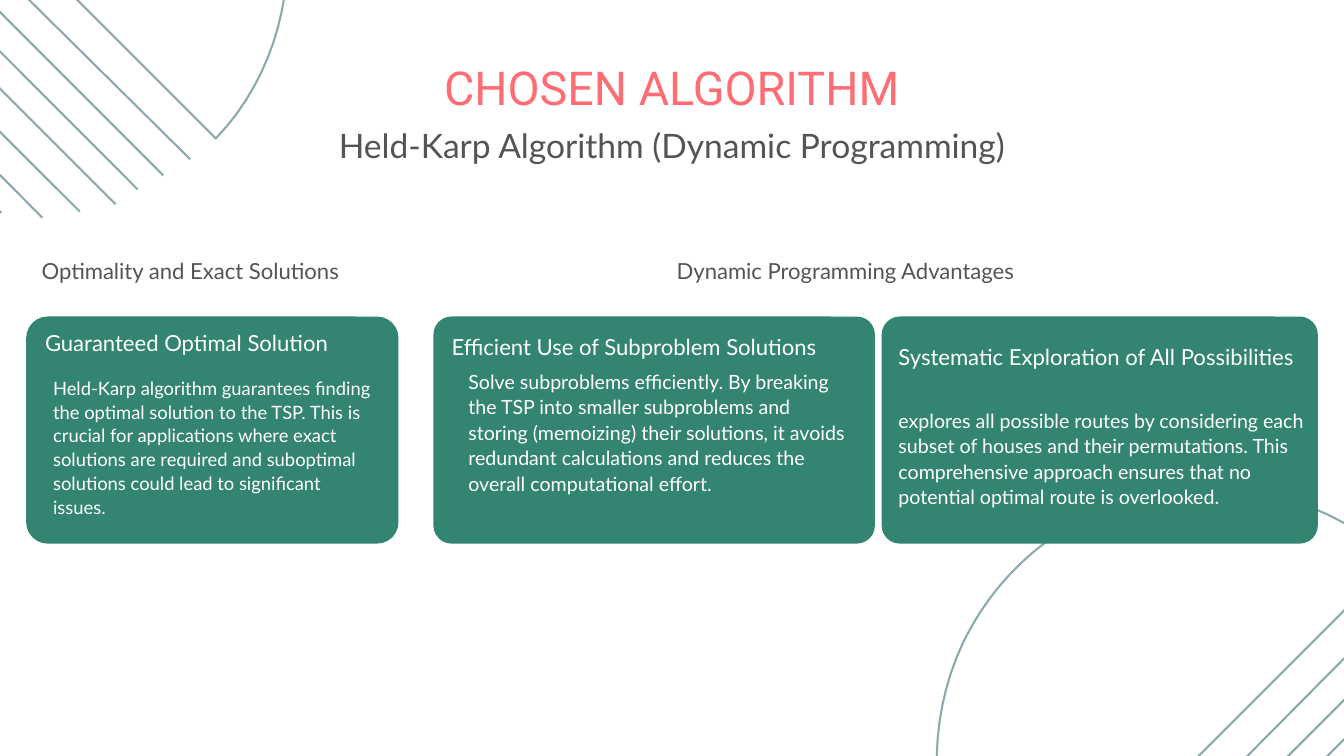
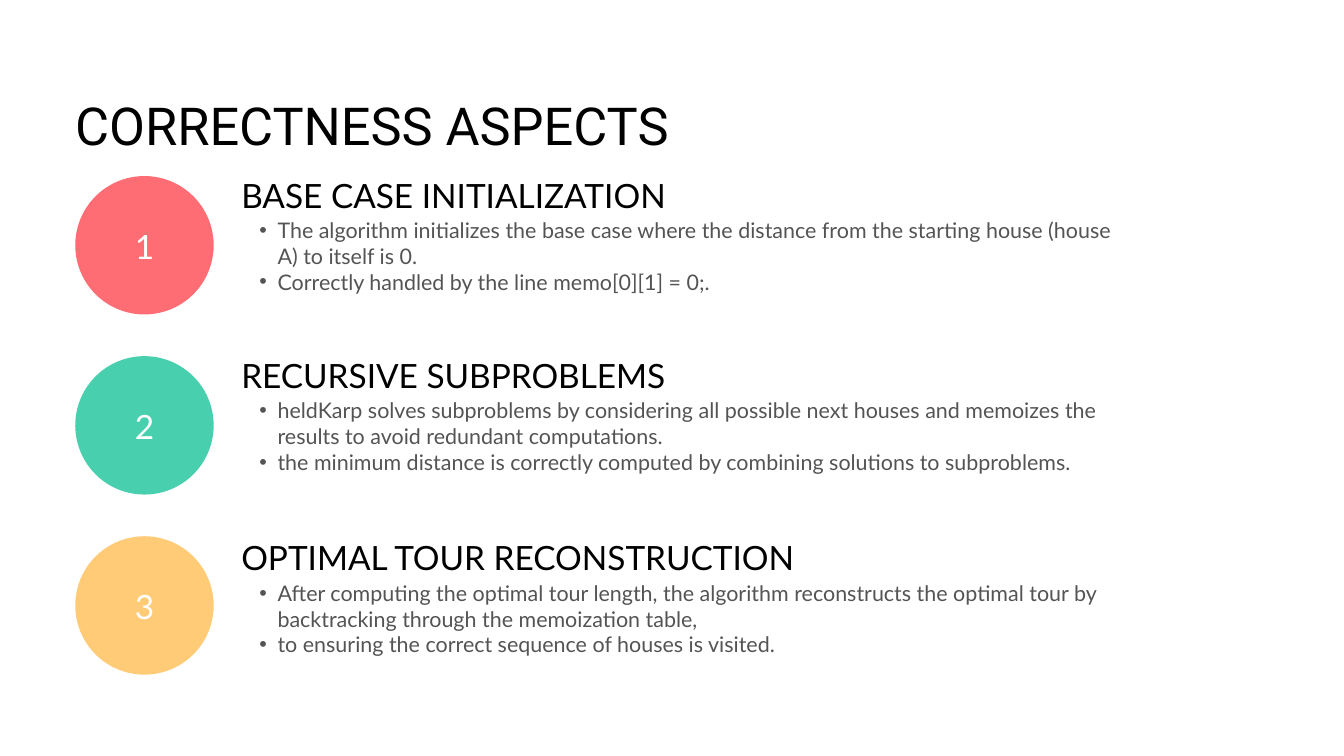
from lxml import etree
from pptx import Presentation
from pptx.dml.color import RGBColor
from pptx.enum.shapes import MSO_CONNECTOR, MSO_SHAPE
from pptx.enum.text import PP_ALIGN
from pptx.oxml.ns import qn
from pptx.util import Inches, Pt

STRAIGHT = MSO_CONNECTOR.STRAIGHT
OVAL = MSO_SHAPE.OVAL
ROUNDED = MSO_SHAPE.ROUNDED_RECTANGLE
LEFT, CENTER = PP_ALIGN.LEFT, PP_ALIGN.CENTER

CORAL = RGBColor(0xFE, 0x6D, 0x73)
MINT = RGBColor(0x48, 0xCF, 0xAE)
AMBER = RGBColor(0xFF, 0xCB, 0x77)
GREEN = RGBColor(0x33, 0x84, 0x70)
SAGE = RGBColor(0x8C, 0xA9, 0xAD)
GRAY = RGBColor(0x54, 0x54, 0x54)
BLACK = RGBColor(0, 0, 0)
WHITE = RGBColor(0xFF, 0xFF, 0xFF)
TITLE_FONT, BODY_FONT = "Roboto", "Lato"

deck = Presentation()
deck.slide_width, deck.slide_height = Inches(20), Inches(11.25)
COL = deck.slide_width / 20
ROW = deck.slide_height / 11.25
BLANK = deck.slide_layouts[6]


def add_block(slide, kind, left, top, width, height, color):
    block = slide.shapes.add_shape(
        kind, int(left * COL), int(top * ROW), int(width * COL), int(height * ROW))
    block.shadow.inherit = False
    block.fill.solid()
    block.fill.fore_color.rgb = color
    block.line.fill.background()
    return block


def add_text(slide, left, top, width, height, lines, size, spacing, color,
             font=BODY_FONT, align=LEFT, bullets=False):
    box = slide.shapes.add_textbox(
        int(left * COL), int(top * ROW), int(width * COL), int(height * ROW))
    frame = box.text_frame
    frame.word_wrap = True
    frame.margin_left = frame.margin_right = frame.margin_top = frame.margin_bottom = 0
    for number, line in enumerate(lines):
        paragraph = frame.add_paragraph() if number else frame.paragraphs[0]
        paragraph.alignment = align
        paragraph.line_spacing = Pt(spacing)
        if bullets:
            properties = paragraph._p.get_or_add_pPr()
            properties.set("marL", str(int(0.54 * COL)))
            properties.set("indent", str(int(-0.27 * COL)))
            etree.SubElement(properties, qn("a:buFont")).set("typeface", "Arial")
            etree.SubElement(properties, qn("a:buChar")).set("char", "•")
        run = paragraph.add_run()
        run.text = line
        run.font.name = font
        run.font.size = Pt(size)
        run.font.color.rgb = color


algorithm = deck.slides.add_slide(BLANK)

half_profile = [(0, -1.95), (0.47, -1.95), (0.91, -1.87), (1.35, -1.72),
                (2.9, -1.16), (4.03, 0.33), (4.06, 1.95)]
STEPS = 20
right_arc = []
for first in (0, 3):
    curve = half_profile[first:first + 4]
    for step in range(STEPS + 1):
        t = step / STEPS
        weights = ((1 - t) ** 3, 3 * t * (1 - t) ** 2, 3 * t * t * (1 - t), t ** 3)
        right_arc.append(tuple(sum(w * point[axis] for w, point in zip(weights, curve))
                               for axis in (0, 1)))
dome = [(-x, y) for x, y in reversed(right_arc)] + right_arc

corners = [
    (16.5, 9.83, 315, [
        (15.45, 14.39, 21.07, 8.72), (15.8, 14.62, 21.31, 9.11),
        (16.19, 14.82, 21.51, 9.49)]),
    (1.72, -2.19, 45, [
        (-2.84, -3.24, 2.83, 2.37), (-3.08, -2.9, 2.43, 2.61),
        (-3.27, -2.51, 2.05, 2.82), (-3.41, -2.09, 1.72, 3.04),
        (-3.57, -1.6, 1.19, 3.15), (-3.7, -1.12, 0.63, 3.24),
        (-3.67, -0.5, 0.02, 3.17)]),
]
for center_x, center_y, angle, stripes in corners:
    outline = [(int((center_x + x) * COL), int((center_y + y) * ROW)) for x, y in dome]
    builder = algorithm.shapes.build_freeform(*outline[0])
    builder.add_line_segments(outline[1:], close=True)
    half_disc = builder.convert_to_shape()
    half_disc.rotation = angle
    half_disc.shadow.inherit = False
    half_disc.fill.background()
    half_disc.line.color.rgb = SAGE
    half_disc.line.width = Pt(2.25)
    for x1, y1, x2, y2 in stripes:
        stripe = algorithm.shapes.add_connector(
            STRAIGHT, int(x1 * COL), int(y1 * ROW), int(x2 * COL), int(y2 * ROW))
        stripe.line.color.rgb = SAGE
        stripe.line.width = Pt(2.25)
        etree.SubElement(stripe._element.spPr, qn("a:effectLst"))

add_text(algorithm, 6.31, 1.02, 7.38, 0.84, ["CHOSEN ALGORITHM"],
         50, 50, CORAL, TITLE_FONT, CENTER)
add_text(algorithm, 4.32, 1.86, 11.36, 0.59, ["Held-Karp Algorithm (Dynamic Programming)"],
         36, 43.2, GRAY, align=CENTER)

for left, width, label in [(0.62, 5.07, "Optimality and Exact Solutions"),
                           (10.07, 5.9, "Dynamic Programming Advantages")]:
    add_text(algorithm, left, 3.8, width, 0.41, [label], 23.7, 30.8, GRAY)

CARD_TOP, CARD_HEIGHT = 4.71, 3.38
cards = [
    (0.39, 5.54, 0.32,
     (0.67, 4.87, 5.07, 0.41), "Guaranteed Optimal Solution",
     (0.79, 5.58, 4.83, 2.11), 19.7,
     "Held-Karp algorithm guarantees finding the optimal solution to the TSP. This is "
     "crucial for applications where exact solutions are required and suboptimal "
     "solutions could lead to significant issues."),
    (6.45, 6.57, 0.27,
     (6.72, 4.93, 6.12, 0.41), "Efficient Use of Subproblem Solutions",
     (6.97, 5.47, 5.63, 2.63), 21,
     "Solve subproblems efficiently. By breaking the TSP into smaller subproblems and "
     "storing (memoizing) their solutions, it avoids redundant calculations and reduces "
     "the overall computational effort."),
    (13.12, 6.49, 0.27,
     (13.37, 5.07, 6.12, 0.84), "Systematic Exploration of All Possibilities",
     (13.37, 6.05, 6.12, 1.88), 21,
     "explores all possible routes by considering each subset of houses and their "
     "permutations. This comprehensive approach ensures that no potential optimal route "
     "is overlooked."),
]
for left, width, radius, heading_area, heading, detail_area, size, detail in cards:
    card = add_block(algorithm, ROUNDED, left, CARD_TOP, width, CARD_HEIGHT, GREEN)
    card.adjustments[0] = radius / CARD_HEIGHT
    add_text(algorithm, *heading_area, [heading], 23.7, 30.8, WHITE)
    add_text(algorithm, *detail_area, [detail], size, size * 1.3, WHITE)

correctness = deck.slides.add_slide(BLANK)
add_text(correctness, 1.12, 1.55, 11.8, 0.92, ["CORRECTNESS ASPECTS"],
         56, 55.4, BLACK, TITLE_FONT)

DISC_LEFT, DISC_TOP, DISC_SIZE, DISC_PITCH = 1.12, 2.62, 2.06, 2.68
aspects = [
    (CORAL, 2.5, 13.17, "BASE CASE INITIALIZATION", [
        "The algorithm initializes the base case where the distance from the starting "
        "house (house A) to itself is 0.",
        "Correctly handled by the line memo[0][1] = 0;."]),
    (MINT, 5.18, 13.61, "RECURSIVE SUBPROBLEMS", [
        "heldKarp solves subproblems by considering all possible next houses and memoizes "
        "the results to avoid redundant computations.",
        "the minimum distance is correctly computed by combining solutions to "
        "subproblems."]),
    (AMBER, 7.9, 13.61, "OPTIMAL TOUR RECONSTRUCTION", [
        "After computing the optimal tour length, the algorithm reconstructs the optimal "
        "tour by backtracking through the memoization table,",
        "to ensuring the correct sequence of houses is visited."]),
]
for index, (color, heading_top, width, heading, points) in enumerate(aspects):
    disc_top = DISC_TOP + index * DISC_PITCH
    add_block(correctness, OVAL, DISC_LEFT, disc_top, DISC_SIZE, DISC_SIZE, color)
    add_text(correctness, DISC_LEFT, disc_top + 0.65, DISC_SIZE, 0.68, [str(index + 1)],
             35.8, 50.1, WHITE, align=CENTER)
    add_text(correctness, 3.59, heading_top, 8.88, 0.7, [heading], 35.8, 50.1, BLACK)
    add_text(correctness, 3.59, heading_top + 0.73, width, 1.49, points,
             23, 27.6, GRAY, bullets=True)

deck.save("out.pptx")
